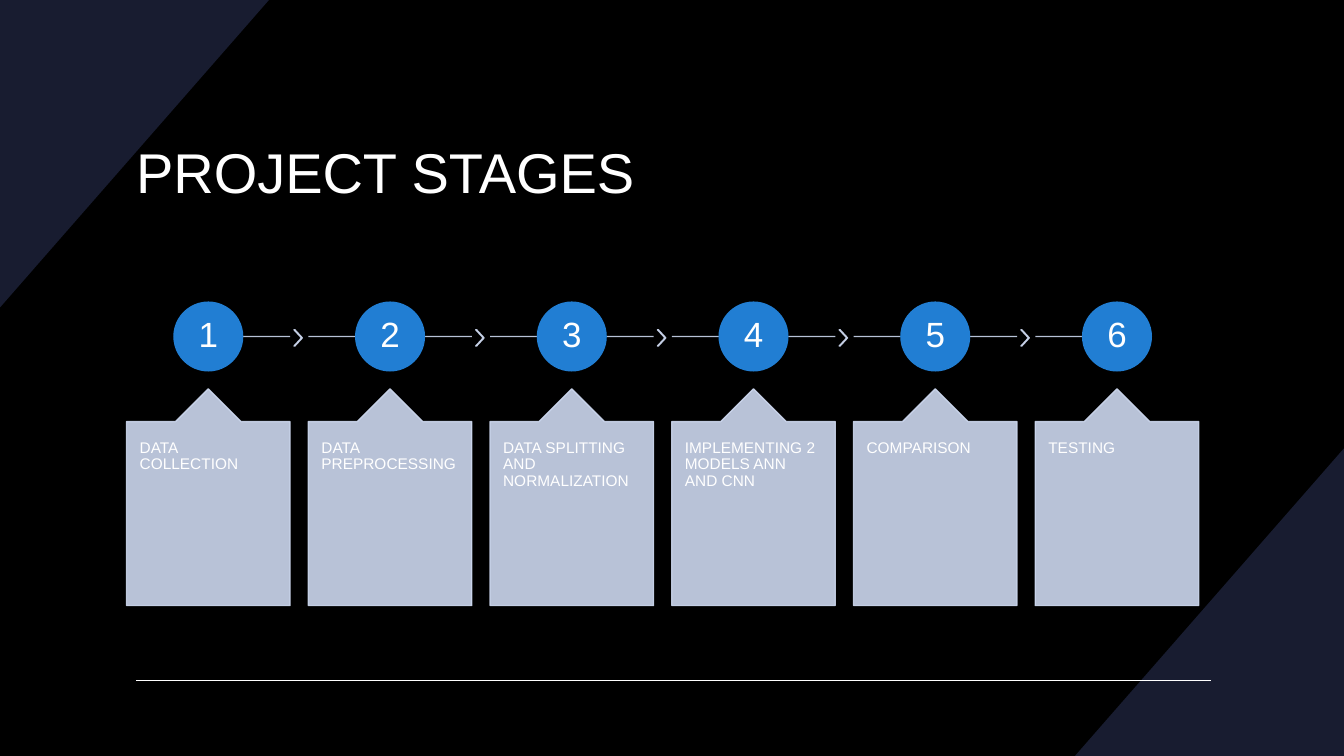
from dataclasses import dataclass

from pptx import Presentation
from pptx.dml.color import RGBColor
from pptx.enum.shapes import MSO_CONNECTOR, MSO_SHAPE
from pptx.enum.text import MSO_ANCHOR, PP_ALIGN
from pptx.oxml.ns import qn
from pptx.oxml.xmlchemy import OxmlElement
from pptx.shapes.autoshape import Shape
from pptx.shapes.connector import Connector
from pptx.slide import Slide
from pptx.text.text import TextFrame
from pptx.util import Cm, Pt

COLORS = {
    "background": "000000",
    "corner": "181C30",
    "text": "FFFFFF",
    "circle": "217ED3",
    "card": "CDD8EF",
}
FONT = "Arial"
SLIDE_WIDTH, SLIDE_HEIGHT = 33.87, 19.05
CORNER_WIDTH, CORNER_HEIGHT = 6.78, 7.75
FIRST_LEFT, STAGE_PITCH = 3.19, 4.58
CARD_WIDTH, CARD_HEIGHT, CARD_TOP = 4.12, 5.46, 9.8
TRACK_Y = 8.48
CIRCLE_SIZE = 1.73
CHEVRON_WIDTH, CHEVRON_HEIGHT, CHEVRON_TOP, CHEVRON_OFFSET = 0.21, 0.41, 8.31, 4.22
CARD_OPACITY = 90


@dataclass(frozen=True)
class Stage:
    """One numbered step of the project."""

    number: int
    label: str
    is_first: bool = False
    is_last: bool = False

    @property
    def left(self) -> float:
        """Return the left edge of the stage in centimetres."""
        return FIRST_LEFT + (self.number - 1) * STAGE_PITCH


STAGES = [
    Stage(1, "DATA COLLECTION", is_first=True),
    Stage(2, "DATA PREPROCESSING"),
    Stage(3, "DATA SPLITTING AND NORMALIZATION"),
    Stage(4, "IMPLEMENTING 2 MODELS ANN AND CNN"),
    Stage(5, "COMPARISON"),
    Stage(6, "TESTING", is_last=True),
]


def color(name: str) -> RGBColor:
    """Return a named colour of the palette."""
    return RGBColor.from_string(COLORS[name])


def set_opacity(item: Shape | Connector, percent: int) -> None:
    """Make the fill and line of an item partly transparent."""
    for tint in item.element.spPr.iter(qn("a:srgbClr")):
        alpha = OxmlElement("a:alpha")
        alpha.set("val", str(percent * 1000))
        tint.append(alpha)


def write_text(frame: TextFrame, text: str, *, size: float,
               align: PP_ALIGN = PP_ALIGN.LEFT, anchor: MSO_ANCHOR = MSO_ANCHOR.TOP,
               spacing: float = 0.9, inset_x: float = 0.25, inset_y: float = 0.13) -> None:
    """Fill a text frame with one formatted paragraph."""
    frame.word_wrap = True
    frame.vertical_anchor = anchor
    frame.margin_left = frame.margin_right = Cm(inset_x)
    frame.margin_top = frame.margin_bottom = Cm(inset_y)
    para = frame.paragraphs[0]
    para.alignment = align
    para.line_spacing = spacing
    span = para.add_run()
    span.text = text
    span.font.name = FONT
    span.font.size = Pt(size)
    span.font.color.rgb = color("text")


def paint(shape: Shape, name: str) -> None:
    """Give a shape one colour for fill and line, without shadow."""
    shape.shadow.inherit = False
    shape.fill.solid()
    shape.fill.fore_color.rgb = color(name)
    shape.line.color.rgb = color(name)
    shape.line.width = Pt(1)


def add_block(page: Slide, kind: MSO_SHAPE, left: float, top: float,
              width: float, height: float, name: str) -> Shape:
    """Add a painted preset shape."""
    shape = page.shapes.add_shape(kind, Cm(left), Cm(top), Cm(width), Cm(height))
    paint(shape, name)
    return shape


def add_line(page: Slide, start: float, end: float, y: float, name: str) -> Connector:
    """Add a thin horizontal line."""
    line = page.shapes.add_connector(MSO_CONNECTOR.STRAIGHT, Cm(start), Cm(y), Cm(end), Cm(y))
    line.line.color.rgb = color(name)
    line.line.width = Pt(1)
    line.element.spPr.append(OxmlElement("a:effectLst"))
    return line


def add_corner(page: Slide, x: float, y: float, direction: int) -> None:
    """Add a corner triangle whose legs run in the given direction."""
    builder = page.shapes.build_freeform(Cm(x), Cm(y))
    builder.add_line_segments([
        (Cm(x + direction * CORNER_WIDTH), Cm(y)),
        (Cm(x), Cm(y + direction * CORNER_HEIGHT)),
    ])
    corner = builder.convert_to_shape()
    paint(corner, "corner")
    corner.line.fill.background()


def add_title(page: Slide, text: str) -> None:
    """Place the title above the background decoration."""
    title = page.shapes.title
    page.shapes.element.append(title.element)
    title.left, title.top = Cm(3.18), Cm(2.41)
    title.width, title.height = Cm(27.51), Cm(3.78)
    write_text(title.text_frame, text, size=40, anchor=MSO_ANCHOR.MIDDLE, spacing=1.0)


def add_stage(page: Slide, stage: Stage) -> None:
    """Draw the track, chevron, numbered circle and card of a stage."""
    center = stage.left + CARD_WIDTH / 2
    start = center if stage.is_first else stage.left
    end = center if stage.is_last else stage.left + CARD_WIDTH
    set_opacity(add_line(page, start, end, TRACK_Y, "card"), CARD_OPACITY)

    if not stage.is_last:
        chevron = add_block(page, MSO_SHAPE.CHEVRON, stage.left + CHEVRON_OFFSET, CHEVRON_TOP,
                            CHEVRON_WIDTH, CHEVRON_HEIGHT, "card")
        chevron.adjustments[0] = 0.9
        set_opacity(chevron, CARD_OPACITY)

    circle = add_block(page, MSO_SHAPE.OVAL, center - CIRCLE_SIZE / 2, TRACK_Y - CIRCLE_SIZE / 2,
                       CIRCLE_SIZE, CIRCLE_SIZE, "circle")
    write_text(circle.text_frame, str(stage.number), size=25, align=PP_ALIGN.CENTER,
               anchor=MSO_ANCHOR.MIDDLE, inset_x=0.08, inset_y=0.08)

    card = add_block(page, MSO_SHAPE.UP_ARROW_CALLOUT, stage.left, CARD_TOP,
                     CARD_WIDTH, CARD_HEIGHT, "card")
    for index, value in enumerate((0.5, 0.2, 0.2, 1.0)):
        card.adjustments[index] = value
    set_opacity(card, CARD_OPACITY)
    write_text(card.text_frame, stage.label, size=11, inset_x=0.33, inset_y=0.46)


def main() -> None:
    """Build the deck and save it."""
    deck = Presentation()
    deck.slide_width, deck.slide_height = Cm(SLIDE_WIDTH), Cm(SLIDE_HEIGHT)
    page = deck.slides.add_slide(deck.slide_layouts.get_by_name("Title Only"))
    page.background.fill.solid()
    page.background.fill.fore_color.rgb = color("background")

    add_corner(page, SLIDE_WIDTH, SLIDE_HEIGHT, -1)
    add_corner(page, 0, 0, 1)
    add_line(page, 3.43, 30.53, 17.15, "text")
    add_title(page, "PROJECT STAGES")
    for stage in STAGES:
        add_stage(page, stage)
    deck.save("out.pptx")


if __name__ == "__main__":
    main()
